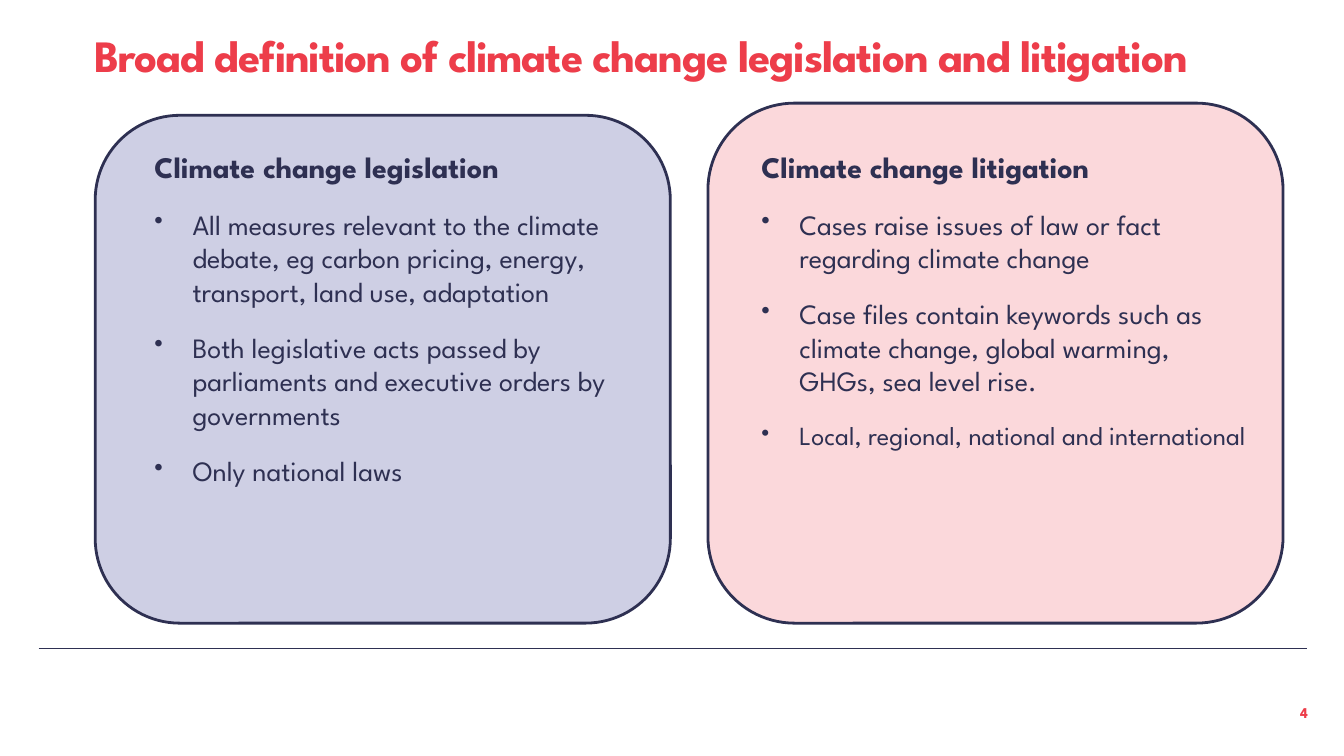
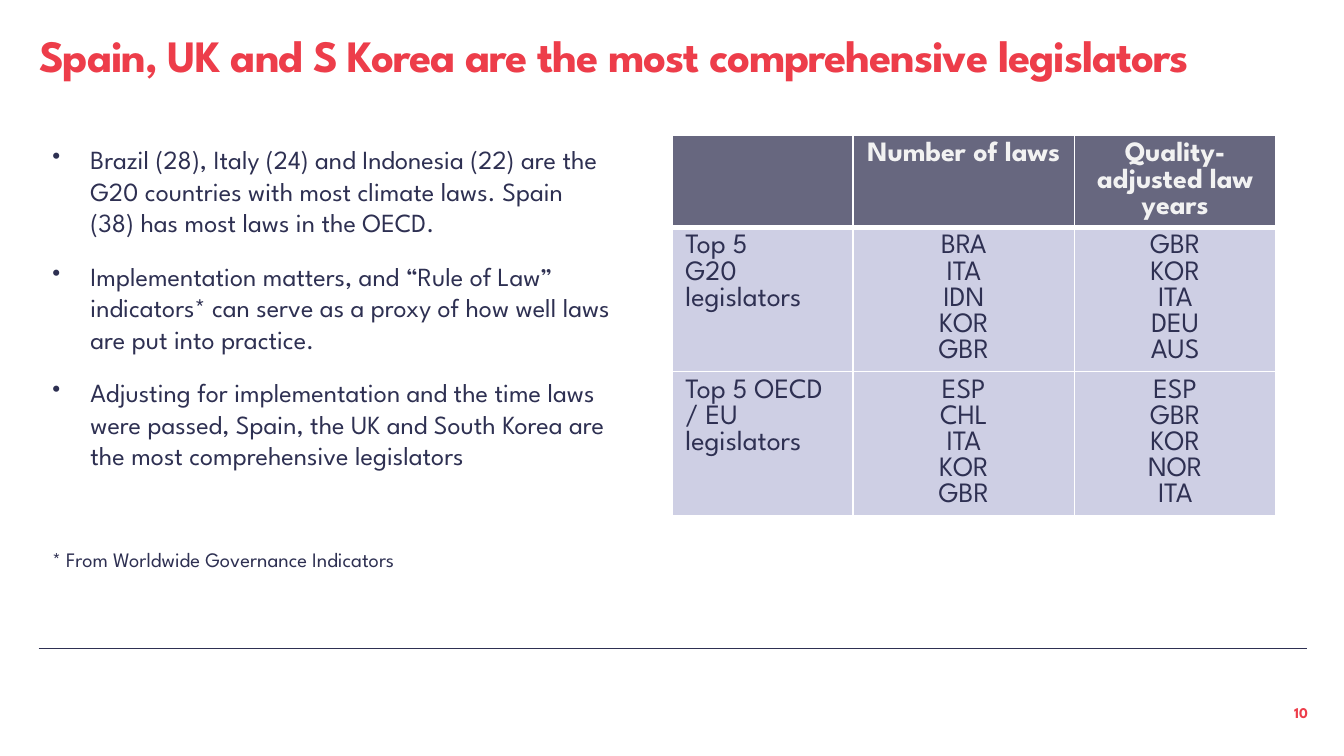
from collections import namedtuple

from lxml.etree import SubElement
from pptx import Presentation
from pptx.dml.color import RGBColor
from pptx.enum.shapes import MSO_CONNECTOR, MSO_SHAPE
from pptx.enum.text import MSO_ANCHOR, PP_ALIGN
from pptx.oxml.ns import qn
from pptx.util import Cm, Pt

Box = namedtuple("Box", "left top width height")

FONT = "League Spartan"
RED, NAVY, WHITE = "ED3D4A", "2E3052", "FFFFFF"
LILAC, PINK, SLATE, PALE = "CECFE4", "FBD8DB", "67677F", "F2F2F2"
TIGHT_LINES = Pt(14)
INDENT = Cm(0.72)


def rgb(color):
    return RGBColor.from_string(color)


def lengths(box):
    return [Cm(value) for value in box]


def add_bullet(paragraph):
    properties = paragraph._p.get_or_add_pPr()
    properties.set("marL", str(INDENT))
    properties.set("indent", str(-INDENT))
    bullet_color = SubElement(properties, qn("a:buClr"))
    SubElement(bullet_color, qn("a:srgbClr"), val=NAVY)
    SubElement(properties, qn("a:buSzPct"), val="90000")
    SubElement(properties, qn("a:buChar"), char="•")


def add_text(frame, text, *, size, color=NAVY, bold=False, align=PP_ALIGN.LEFT,
             spacing=1.0, before=0, after=0, bullet=False, tracking=0):
    paragraph = frame.paragraphs[-1]
    if paragraph.runs:
        paragraph = frame.add_paragraph()
        paragraph.space_before = Pt(before)
    if bullet:
        add_bullet(paragraph)
    paragraph.alignment = align
    paragraph.line_spacing = spacing
    paragraph.space_after = Pt(after)
    run = paragraph.add_run()
    run.text = text
    run.font.name = FONT
    run.font.size = Pt(size)
    run.font.bold = bold
    run.font.color.rgb = rgb(color)
    if tracking:
        run._r.get_or_add_rPr().set("spc", str(round(tracking * 100)))


def add_frame(slide, box, anchor=MSO_ANCHOR.TOP, inset=True):
    frame = slide.shapes.add_textbox(*lengths(box)).text_frame
    frame.word_wrap = True
    frame.vertical_anchor = anchor
    if not inset:
        frame.margin_left = frame.margin_right = 0
        frame.margin_top = frame.margin_bottom = 0
    return frame


def add_title(slide, box, title):
    frame = add_frame(slide, box, inset=False)
    add_text(frame, title, size=24, color=RED, bold=True, tracking=-0.6)


def add_footer(slide, box, number):
    left, top, width, height = lengths(box)
    rule = slide.shapes.add_connector(
        MSO_CONNECTOR.STRAIGHT, left, top, left + width, top)
    rule.line.color.rgb = rgb(NAVY)
    rule.line.width = Pt(0.5)
    SubElement(rule._element.spPr, qn("a:effectLst"))
    number_box = Box(box.left + box.width - 1.6, box.top + box.height - 0.53, 1.62, 0.53)
    frame = add_frame(slide, number_box, MSO_ANCHOR.BOTTOM, inset=False)
    add_text(frame, number, size=8, color=RED, bold=True, align=PP_ALIGN.RIGHT)


def add_base(deck, title, title_box, number):
    slide = deck.slides.add_slide(deck.slide_layouts[6])
    add_footer(slide, Box(0.73, 12.26, 23.97, 1.38), number)
    add_title(slide, title_box, title)
    return slide


def add_definition(slide, box, fill, inset, heading, points):
    panel = slide.shapes.add_shape(MSO_SHAPE.ROUNDED_RECTANGLE, *lengths(box))
    panel.shadow.inherit = False
    panel.fill.solid()
    panel.fill.fore_color.rgb = rgb(fill)
    panel.line.color.rgb = rgb(NAVY)
    panel.line.width = Pt(1.5)
    indent, drop = inset
    frame = add_frame(slide, Box(box.left + indent, box.top + drop,
                                 box.width - indent - 0.4, box.height - drop - 0.4))
    add_text(frame, heading, size=16, bold=True, after=12)
    for point, size in points:
        add_text(frame, point, size=size, after=12, bullet=True)


def add_findings(slide, box, findings, footnote):
    frame = add_frame(slide, box)
    for finding in findings:
        add_text(frame, finding, size=14, before=6, after=6, bullet=True)
    add_text(frame, footnote, size=11, before=34.8)


def style_cell(cell, fill, bottom):
    properties = cell._tc.get_or_add_tcPr()
    for side, width in (("L", 1), ("R", 1), ("T", 1), ("B", bottom)):
        border = SubElement(properties, qn(f"a:ln{side}"), w=str(Pt(width)))
        SubElement(SubElement(border, qn("a:solidFill")), qn("a:srgbClr"), val=WHITE)
    cell.fill.solid()
    cell.fill.fore_color.rgb = rgb(fill)


def add_ranking(slide, box, columns, heights, rows):
    table = slide.shapes.add_table(len(rows), len(columns), *lengths(box)).table
    for column, width in zip(table.columns, columns):
        column.width = Cm(width)
    for row, height in zip(table.rows, heights):
        row.height = Cm(height)
    for r, entries in enumerate(rows):
        header = r == 0
        for c, lines in enumerate(entries):
            cell = table.cell(r, c)
            style_cell(cell, SLATE if header else LILAC, 3 if header else 1)
            for line in lines:
                add_text(cell.text_frame, line, size=15, bold=header,
                         spacing=TIGHT_LINES, color=PALE if header else NAVY,
                         align=PP_ALIGN.CENTER if c else PP_ALIGN.LEFT)


def build_definitions(deck):
    slide = add_base(deck, "Broad definition of climate change legislation and litigation",
                     Box(1.78, 0.53, 23.72, 2.24), "4")
    add_definition(
        slide, Box(1.8, 2.18, 10.87, 9.6), LILAC, (0.87, 0.51),
        "Climate change legislation",
        [("All measures relevant to the climate debate, eg carbon pricing, energy, "
          "transport, land use, adaptation", 15),
         ("Both legislative acts passed by parliaments and executive orders by "
          "governments", 15),
         ("Only national laws", 15)])
    add_definition(
        slide, Box(13.38, 1.95, 10.87, 9.83), PINK, (0.76, 0.74),
        "Climate change litigation",
        [("Cases raise issues of law or fact regarding climate change", 15),
         ("Case files contain keywords such as climate change, global warming, "
          "GHGs, sea level rise.", 15),
         ("Local, regional, national and international", 14)])


def build_legislators(deck):
    slide = add_base(deck, "Spain, UK and S Korea are the most comprehensive legislators",
                     Box(0.74, 0.53, 21.92, 2.24), "10")
    add_ranking(
        slide, Box(12.7, 2.56, 11.43, 7.14), (3.42, 4.19, 3.8), (1.72, 2.71, 2.71),
        [([], ["Number of laws"], ["Quality-adjusted law years"]),
         (["Top 5", "G20", "legislators"],
          ["BRA", "ITA", "IDN", "KOR", "GBR"],
          ["GBR", "KOR", "ITA", "DEU", "AUS"]),
         (["Top 5 OECD", "/ EU", "legislators"],
          ["ESP", "CHL", "ITA", "KOR", "GBR"],
          ["ESP", "GBR", "KOR", "NOR", "ITA"])])
    add_findings(
        slide, Box(0.74, 2.59, 11.07, 8.71),
        ["Brazil (28), Italy (24) and Indonesia (22) are the G20 countries with most "
         "climate laws. Spain (38) has most laws in the OECD.",
         "Implementation matters, and “Rule of Law” indicators* can serve as a proxy "
         "of how well laws are put into practice.",
         "Adjusting for implementation and the time laws were passed, Spain, the UK and "
         "South Korea are the most comprehensive legislators"],
        "* From Worldwide Governance Indicators")


def main():
    deck = Presentation()
    deck.slide_width, deck.slide_height = Cm(25.4), Cm(14.29)
    build_definitions(deck)
    build_legislators(deck)
    deck.save("out.pptx")


if __name__ == "__main__":
    main()
